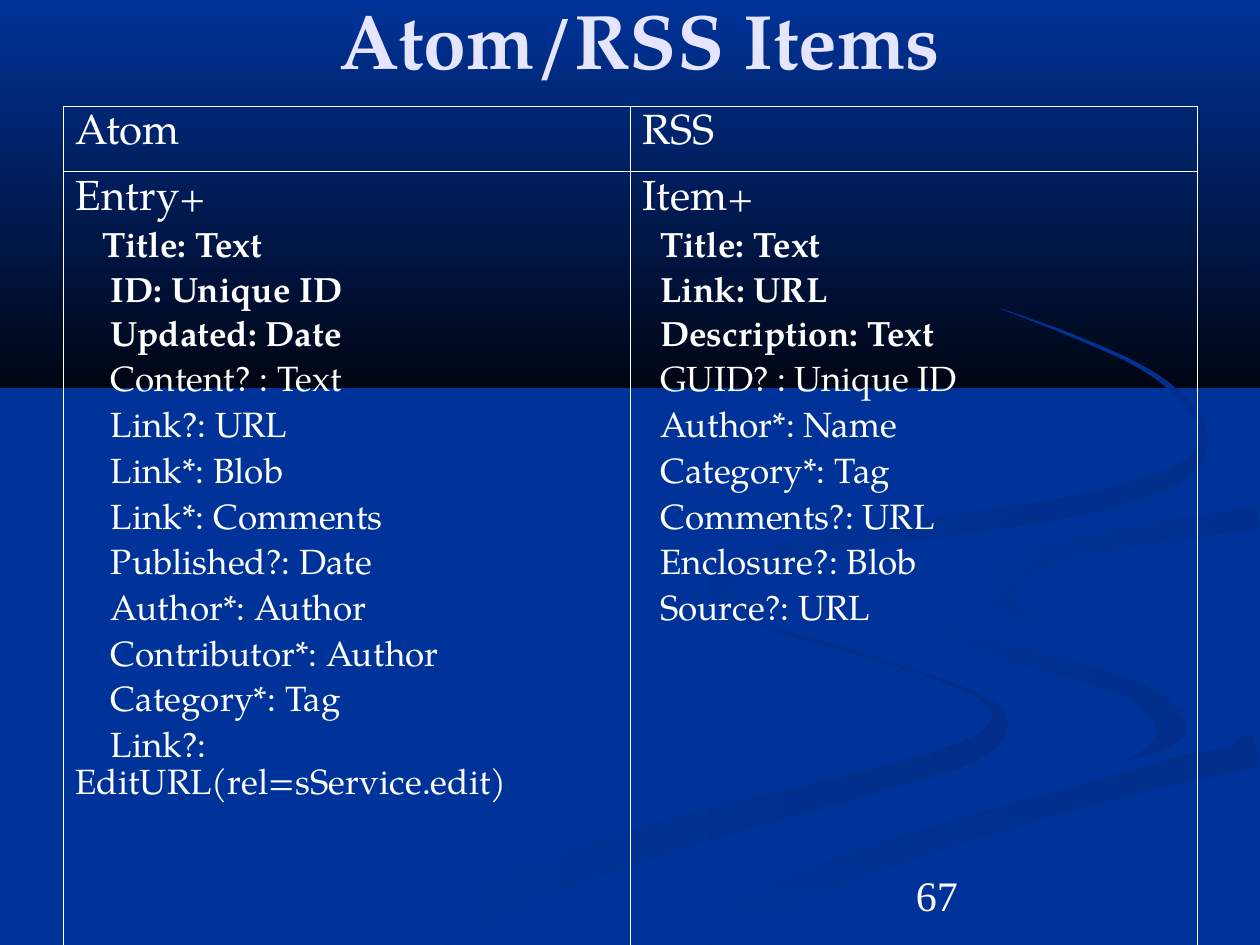
from math import hypot

from lxml import etree
from pptx import Presentation
from pptx.dml.color import RGBColor
from pptx.enum.text import MSO_ANCHOR, PP_ALIGN
from pptx.oxml.ns import qn
from pptx.util import Inches, Pt

MIDDLE, BOTTOM = MSO_ANCHOR.MIDDLE, MSO_ANCHOR.BOTTOM
LEFT, CENTER = PP_ALIGN.LEFT, PP_ALIGN.CENTER
BLUE, SHADE, NIGHT = "003399", "002E8A", "000514"
WHITE, LAVENDER = "FFFFFF", "E5E5FF"
SERIF, NUMBER_FONT = "TeX Gyre Pagella", "Times New Roman"
DOWN, LEFTWARD, UP_LEFT = 270, 180, 135
WIDTH, HEIGHT = 10, 7.5
BAND_HEIGHT = 3.08
STEPS = 6
REQUIRED = 3

SHADED, PLAIN = (SHADE, BLUE), (BLUE,)
# Each knot is x, y and ribbon thickness.
SWOOSHES = {
    "lower": (SHADED, LEFTWARD, [
        (5.75, 4.59, 0), (5.76, 4.76, 0.05), (6.15, 4.99, 0.04),
        (6.8, 5.18, 0.02), (7.45, 5.39, 0.02), (7.82, 5.56, 0.05),
        (7.93, 5.74, 0.14), (7.72, 5.95, 0.19), (7, 6.18, 0.19),
        (5.5, 6.58, 0.24), (4.25, 7, 0.28), (3.3, 7.49, 0.3)]),
    "inner curl": (SHADED, UP_LEFT, [
        (7.24, 4.64, 0), (7.37, 4.87, 0.08), (7.85, 5.13, 0.11),
        (8.45, 5.3, 0.13), (9, 5.48, 0.14), (9.29, 5.74, 0.24),
        (9.18, 5.94, 0.13), (8.93, 6.04, 0)]),
    "corner": (SHADED, DOWN, [
        (5.37, 7.49, 0.27), (5.95, 7.21, 0.25), (6.95, 6.81, 0.2),
        (8.2, 6.42, 0.19), (9.03, 6.2, 0.19), (9.98, 5.95, 0.27)]),
    "blue": (PLAIN, DOWN, [
        (9.99, 3.95, 0.15), (9.3, 4.07, 0.14), (8.4, 4.21, 0.18),
        (7.8, 4.38, 0.3), (7.54, 4.62, 0.5), (7.85, 4.91, 0.3),
        (8.6, 5.15, 0.18), (9.3, 5.36, 0.28), (9.68, 5.68, 0.5),
        (9.35, 5.95, 0.1), (8.6, 6.17, 0.1), (7.5, 6.47, 0.1),
        (6.4, 6.83, 0.12), (5.5, 7.22, 0.16), (4.95, 7.47, 0.2)]),
    "edge curl": (SHADED, UP_LEFT, [
        (8.26, 4.95, 0), (8.03, 4.84, 0.09), (7.93, 4.68, 0.23),
        (8.05, 4.52, 0.18), (8.4, 4.38, 0.15), (9.1, 4.24, 0.15),
        (9.98, 4.11, 0.18)]),
    "upper": (SHADED, UP_LEFT, [
        (7.94, 2.45, 0), (8.5, 2.66, 0.02), (9.05, 2.91, 0.03),
        (9.38, 3.16, 0.05), (9.55, 3.44, 0.06), (9.4, 3.73, 0.13),
        (8.7, 3.98, 0.16), (7.62, 4.16, 0.16), (6.6, 4.3, 0.15),
        (5.92, 4.47, 0.16), (5.72, 4.66, 0.2), (5.88, 4.87, 0.1),
        (6.17, 4.99, 0)]),
}

ATOM = ["Title: Text", "ID: Unique ID", "Updated: Date", "Content? : Text",
        "Link?: URL", "Link*: Blob", "Link*: Comments", "Published?: Date",
        "Author*: Author", "Contributor*: Author", "Category*: Tag",
        "Link?: EditURL(rel=sService.edit)"]
RSS = ["Title: Text", "Link: URL", "Description: Text", "GUID? : Unique ID",
       "Author*: Name", "Category*: Tag", "Comments?: URL",
       "Enclosure?: Blob", "Source?: URL"]


def rgb(value):
    return RGBColor.from_string(value)


def spline(a, b, c, d, t):
    return b + t / 2 * (c - a + t * (2*a - 5*b + 4*c - d + t * (3*b - a - 3*c + d)))


def smooth(knots):
    padded = [knots[0], *knots, knots[-1]]
    curve = [tuple(spline(*values, step / STEPS) for values in zip(*padded[i:i + 4]))
             for i in range(len(knots) - 1) for step in range(STEPS)]
    return curve + [knots[-1]]


def ribbon(knots):
    curve = smooth(knots)
    near, far = [], []
    for i, (x, y, thickness) in enumerate(curve):
        before, after = curve[max(i - 1, 0)], curve[min(i + 1, len(curve) - 1)]
        dx, dy = after[0] - before[0], after[1] - before[1]
        half = thickness / 2 / hypot(dx, dy)
        for edge, side in ((near, half), (far, -half)):
            edge.append((min(x - dy * side, WIDTH), min(y + dx * side, HEIGHT)))
    return near + far[::-1]


class Deck:
    font = {"name": SERIF, "size": Pt(24), "bold": False}

    def __init__(self):
        self.prs = Presentation()
        self.prs.slide_width, self.prs.slide_height = Inches(WIDTH), Inches(HEIGHT)

    def slide(self, color):
        self.s = self.prs.slides.add_slide(self.prs.slide_layouts[6])
        fill = self.s.background.fill
        fill.solid()
        fill.fore_color.rgb = rgb(color)

    def freeform(self, outline, colors, angle):
        points = [(Inches(x), Inches(y)) for x, y in outline]
        builder = self.s.shapes.build_freeform(*points[0])
        builder.add_line_segments(points[1:], close=True)
        sp = builder.convert_to_shape()
        sp.shadow.inherit = False
        sp.line.fill.background()
        if len(colors) == 1:
            sp.fill.solid()
            sp.fill.fore_color.rgb = rgb(colors[0])
            return
        sp.fill.gradient()
        sp.fill.gradient_angle = angle
        for stop, color in zip(sp.fill.gradient_stops, colors):
            stop.color.rgb = rgb(color)

    def run(self, p, text, color=WHITE, **style):
        r = p.add_run()
        r.text = text
        for name, value in {**self.font, **style}.items():
            setattr(r.font, name, value)
        r.font.color.rgb = rgb(color)

    def text(self, box, text, anchor, align, **style):
        tf = self.s.shapes.add_textbox(*map(Inches, box)).text_frame
        tf.word_wrap = True
        tf.vertical_anchor = anchor
        tf.paragraphs[0].alignment = align
        self.run(tf.paragraphs[0], text, **style)

    def table(self, box, heights, columns):
        table = self.s.shapes.add_table(len(heights), len(columns), *map(Inches, box)).table
        table.first_row = table.horz_banding = False
        for row, height in zip(table.rows, heights):
            row.height = Inches(height)
        for i, (heading, element, fields, indents) in enumerate(columns):
            head, body = table.cell(0, i), table.cell(1, i)
            self.run(self.spaced(head.text_frame.paragraphs[0], 6), heading)
            p = self.spaced(body.text_frame.paragraphs[0], 5)
            self.run(p, element)
            self.run(p, "+", size=Pt(20))
            for n, field in enumerate(fields):
                p = self.spaced(body.text_frame.add_paragraph(), 5)
                p._p.get_or_add_pPr().set("indent", str(Inches(indents[min(n, 1)])))
                self.run(p, field, size=Pt(20), bold=n < REQUIRED)
            for cell in (head, body):
                self.borders(cell)
                cell.fill.background()

    def spaced(self, p, before):
        p.line_spacing = 1.05
        p.space_before = Pt(before)
        return p

    def borders(self, cell):
        tcPr = cell._tc.get_or_add_tcPr()
        for side in "LRTB":
            ln = etree.SubElement(tcPr, qn(f"a:ln{side}"), w=str(Pt(0.2)))
            fill = etree.SubElement(ln, qn("a:solidFill"))
            etree.SubElement(fill, qn("a:srgbClr"), val=WHITE)


def main():
    deck = Deck()
    deck.slide(BLUE)
    band = [(0, 0), (0, BAND_HEIGHT), (WIDTH, BAND_HEIGHT), (WIDTH, 0)]
    deck.freeform(band, (BLUE, NIGHT), DOWN)
    for colors, angle, knots in SWOOSHES.values():
        deck.freeform(ribbon(knots), colors, angle)
    deck.text((0.58, -0.11, 9, 0.84), "Atom/RSS Items", MIDDLE, CENTER,
              color=LAVENDER, size=Pt(44), bold=True)
    deck.table((0.5, 0.84, 9, 6.84), (0.52, 6.32), [
        ("Atom", "Entry", ATOM, (0.21, 0.28)),
        ("RSS", "Item", RSS, (0.14, 0.14)),
    ])
    deck.text((7.17, 6.83, 2.33, 0.52), "67", BOTTOM, LEFT, name=NUMBER_FONT)
    deck.prs.save("out.pptx")


if __name__ == "__main__":
    main()
